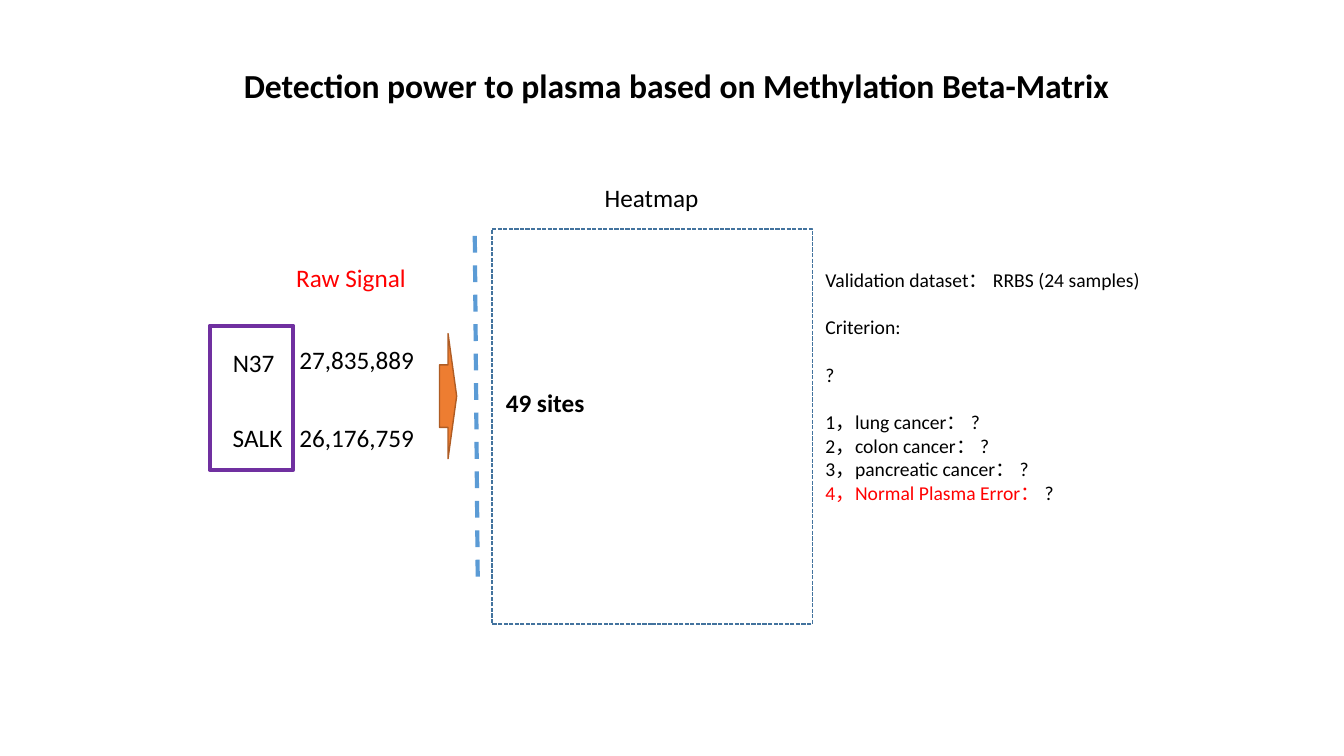
from lxml import etree
from pptx import Presentation
from pptx import util as u
from pptx.dml.color import RGBColor
from pptx.enum import dml, shapes, text
from pptx.oxml import ns

BLACK = RGBColor(0x00, 0x00, 0x00)
RED = RGBColor(0xFF, 0x00, 0x00)
PURPLE = RGBColor(0x70, 0x30, 0xA0)
ORANGE = RGBColor(0xED, 0x7D, 0x31)
BROWN = RGBColor(0xAF, 0x5C, 0x24)
SKY = RGBColor(0x5B, 0x9B, 0xD5)
STEEL = RGBColor(0x43, 0x73, 0x9E)
LABEL_HEIGHT = 5.33


class SlideBuilder:
    """Draws on one slide; all lengths are percent of its width and height."""

    font = "Calibri"

    def __init__(self, deck):
        self.width, self.height = deck.slide_width, deck.slide_height
        self.slide = deck.slides.add_slide(deck.slide_layouts[6])

    def place(self, x, y, *rest):
        sides = (self.width, self.height) * 2
        return [round(side * share / 100) for side, share in zip(sides, (x, y, *rest))]

    def style_font(self, font, size, color, bold=False):
        font.name, font.size, font.bold = self.font, u.Pt(size), bold
        font.color.rgb = color

    def text_frame(self, area, wrap=False):
        frame = self.slide.shapes.add_textbox(*self.place(*area)).text_frame
        frame.word_wrap = wrap
        frame.auto_size = text.MSO_AUTO_SIZE.SHAPE_TO_FIT_TEXT
        return frame

    def label(self, words, area, size=18, color=BLACK, bold=False):
        paragraph = self.text_frame(area).paragraphs[0]
        paragraph.text = words
        self.style_font(paragraph.font, size, color, bold)

    def lines(self, entries, area, size):
        """Each entry is (space before, [(words, colour), ...])."""
        frame = self.text_frame(area, wrap=True)
        for index, (gap, parts) in enumerate(entries):
            paragraph = frame.add_paragraph() if index else frame.paragraphs[0]
            if gap:
                paragraph.space_before = u.Pt(gap)
            self.style_font(paragraph.font, size, BLACK)
            for words, color in parts:
                run = paragraph.add_run()
                run.text = words
                self.style_font(run.font, size, color)

    def style_line(self, line, color, width, dash=None):
        line.color.rgb, line.width = color, u.Pt(width)
        if dash:
            line.dash_style = dash

    def shape(self, kind, area, color, width, dash=None, fill=None):
        shape = self.slide.shapes.add_shape(kind, *self.place(*area))
        shape.shadow.inherit = False
        if fill is None:
            shape.fill.background()
        else:
            shape.fill.solid()
            shape.fill.fore_color.rgb = fill
        self.style_line(shape.line, color, width, dash)

    def divider(self, ends, color, width, dash):
        line = self.slide.shapes.add_connector(
            shapes.MSO_CONNECTOR.STRAIGHT, *self.place(*ends))
        self.style_line(line.line, color, width, dash)
        etree.SubElement(line._element.spPr, ns.qn("a:effectLst"))


def main():
    deck = Presentation()
    deck.slide_width, deck.slide_height = u.Inches(13.333), u.Inches(7.5)
    page = SlideBuilder(deck)
    rectangle = shapes.MSO_SHAPE.RECTANGLE

    # Title
    page.label("Detection power to plasma based on Methylation Beta-Matrix",
               (17.4, 7.87, 66.6, 6.67), size=24, bold=True)

    # Raw signal: samples and their counts
    page.label("Raw Signal", (21.3, 34, 9.75, LABEL_HEIGHT), color=RED)
    page.shape(rectangle, (15.6, 43.07, 6.23, 19.07), PURPLE, 3)
    samples = [("N37", 4.65, 45.33, "27,835,889", 44.93),
               ("SALK", 5.25, 55.2, "26,176,759", 55.2)]
    for sample, sample_width, sample_top, count, count_top in samples:
        page.label(sample, (16.58, sample_top, sample_width, LABEL_HEIGHT))
        page.label(count, (21.53, count_top, 10.13, LABEL_HEIGHT))

    # Step from signal to heatmap
    page.shape(shapes.MSO_SHAPE.RIGHT_ARROW, (32.7, 44.13, 1.28, 16.53),
               BROWN, 1, fill=ORANGE)
    page.divider((35.33, 31.2, 35.55, 77.6), SKY, 3, dml.MSO_LINE.DASH)

    # Heatmap area
    page.label("Heatmap", (44.25, 23.47, 8.55, LABEL_HEIGHT))
    page.shape(rectangle, (36.6, 30.27, 23.85, 52.27), STEEL, 1,
               dash=dml.MSO_LINE.SQUARE_DOT)
    page.label("49 sites", (36.9, 50.53, 7.43, LABEL_HEIGHT), bold=True)

    # Validation notes
    section_gap = 17
    page.lines([
        (0, [("Validation dataset： RRBS (24 samples)", BLACK)]),
        (section_gap, [("Criterion:", BLACK)]),
        (section_gap, [("?", BLACK)]),
        (section_gap, [("1，lung cancer： ?", BLACK)]),
        (0, [("2，colon cancer： ?", BLACK)]),
        (0, [("3，pancreatic cancer： ?", BLACK)]),
        (0, [("4，Normal Plasma Error：", RED), (" ?", BLACK)]),
    ], (60.68, 34.8, 31.95, 32.8), size=14)

    deck.save("out.pptx")


if __name__ == "__main__":
    main()
